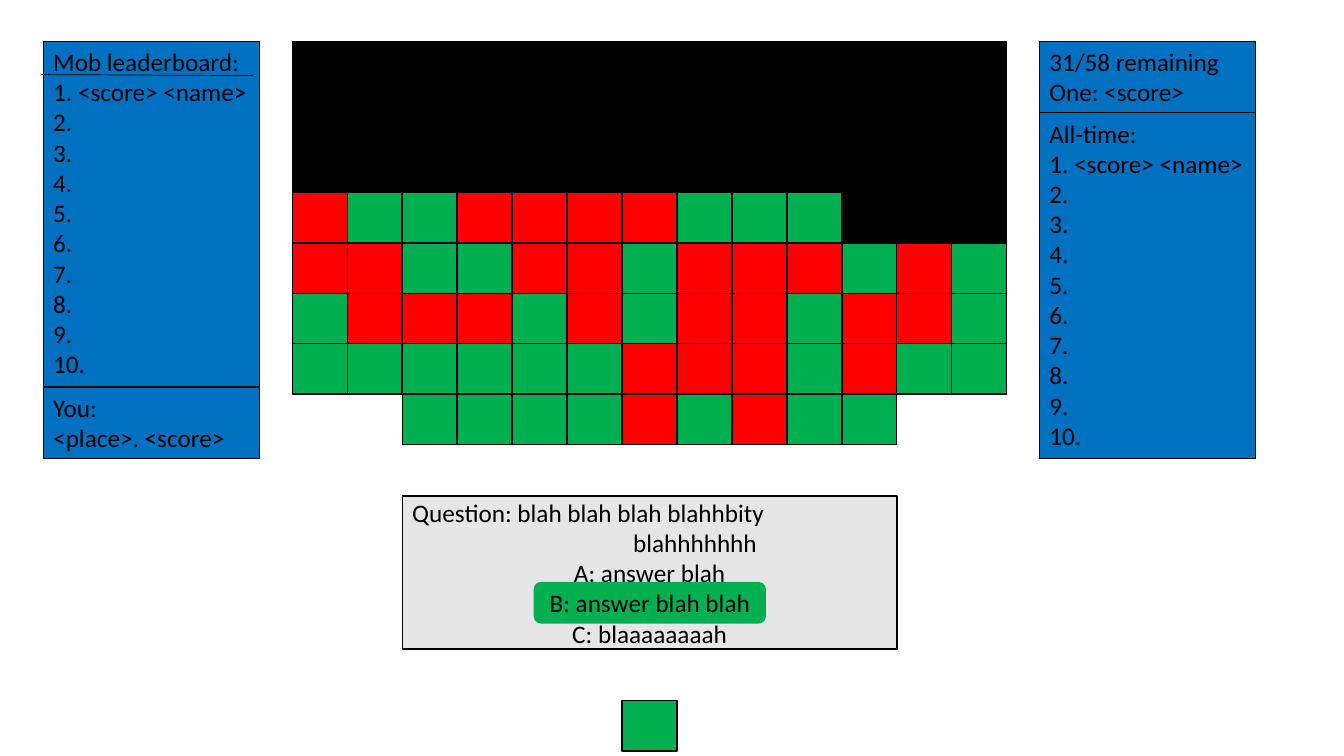
from lxml.etree import SubElement
from pptx import Presentation
from pptx.dml.color import RGBColor
from pptx.enum.shapes import MSO_CONNECTOR, MSO_SHAPE
from pptx.enum.text import MSO_ANCHOR, MSO_AUTO_SIZE, PP_ALIGN
from pptx.oxml.ns import qn
from pptx.util import Inches, Pt

COLORS = {
    "black": "000000",
    "red": "FF0000",
    "green": "00B050",
    "blue": "0070C0",
    "gray": "E7E6E6",
}


def rgb(name):
    return RGBColor.from_string(COLORS[name])


def add_text(frame, text, first=False, align=PP_ALIGN.LEFT, indent=0,
             font="Calibri", size=18, color="black"):
    """Add one formatted paragraph to a text frame."""
    paragraph = frame.paragraphs[0] if first else frame.add_paragraph()
    paragraph.alignment = align
    if indent:
        paragraph._p.get_or_add_pPr().set("marL", str(Inches(indent)))
    run = paragraph.add_run()
    run.text = text
    run.font.name = font
    run.font.size = Pt(size)
    run.font.color.rgb = rgb(color)


class GameSlide:
    def __init__(self, slide, line_color="black"):
        self.slide = slide
        self.line_color = line_color

    def box(self, left, top, width, height, fill, line=None, weight=1,
            kind=MSO_SHAPE.RECTANGLE):
        shape = self.slide.shapes.add_shape(
            kind, Inches(left), Inches(top), Inches(width), Inches(height))
        shape.shadow.inherit = False
        shape.fill.solid()
        shape.fill.fore_color.rgb = rgb(fill)
        shape.line.color.rgb = rgb(line or self.line_color)
        shape.line.width = Pt(weight)
        return shape

    def panel(self, left, top, height, lines, wrap=True):
        frame = self.box(left, top, PANEL_WIDTH, height, "blue", weight=0.75).text_frame
        frame.word_wrap = wrap
        frame.auto_size = MSO_AUTO_SIZE.SHAPE_TO_FIT_TEXT
        frame.vertical_anchor = MSO_ANCHOR.TOP
        for number, text in enumerate(lines):
            add_text(frame, text, first=number == 0)

    def rule(self, x1, y1, x2, y2, weight):
        line = self.slide.shapes.add_connector(
            MSO_CONNECTOR.STRAIGHT, Inches(x1), Inches(y1), Inches(x2), Inches(y2))
        line.line.color.rgb = rgb(self.line_color)
        line.line.width = Pt(weight)
        SubElement(line._element.spPr, qn("a:effectLst"))


prs = Presentation()
prs.slide_width = Inches(13.33)
prs.slide_height = Inches(7.5)
game = GameSlide(prs.slides.add_slide(prs.slide_layouts[6]))

# Mob board: K = black, R = red, G = green, dot = no seat
SEATS = [
    "KKKKKKKKKKKKK",
    "KKKKKKKKKKKKK",
    "KKKKKKKKKKKKK",
    "RGGRRRRGGGKKK",
    "RRGGRRGRRRGRG",
    "GRRRGRGRRGRRG",
    "GGGGGGRRRGRGG",
    "..GGGGRGRGG..",
]
SEAT_FILLS = {"K": "black", "R": "red", "G": "green"}
BOARD_LEFT, TOP = 2.9, 0.41
SEAT_WIDTH, SEAT_HEIGHT = 0.545, 0.5

for row, seats in enumerate(SEATS):
    for column, seat in enumerate(seats):
        if seat in SEAT_FILLS:
            game.box(BOARD_LEFT + column * SEAT_WIDTH, TOP + row * SEAT_HEIGHT,
                     SEAT_WIDTH, SEAT_HEIGHT, SEAT_FILLS[seat])

# The one, below the middle column
game.box(BOARD_LEFT + 6 * SEAT_WIDTH, 6.95, SEAT_WIDTH, SEAT_HEIGHT, "green")

# Question with its answers
question = game.box(BOARD_LEFT + 2 * SEAT_WIDTH, 4.92, 9 * SEAT_WIDTH, 1.52,
                    "gray").text_frame
question.word_wrap = True
question.vertical_anchor = MSO_ANCHOR.MIDDLE
add_text(question, "Question: blah blah blah blahhbity", first=True)
add_text(question, "blahhhhhhh", indent=2.19)
CHOSEN = "B: answer blah blah"
for answer in ("A: answer blah", CHOSEN, "C: blaaaaaaaah"):
    add_text(question, answer, align=PP_ALIGN.CENTER)

# Chosen answer highlight
highlight = game.box(5.3, 5.78, 2.29, 0.4, "green", line="green",
                     kind=MSO_SHAPE.ROUNDED_RECTANGLE).text_frame
highlight.word_wrap = True
highlight.vertical_anchor = MSO_ANCHOR.MIDDLE
add_text(highlight, CHOSEN, first=True, align=PP_ALIGN.CENTER)

# Side panels
PANEL_WIDTH, LIST_HEIGHT, NOTE_HEIGHT = 2.14, 3.43, 0.71
MOB_LEFT, STATUS_LEFT = 0.43, 10.31
RANKING = ["1. <score> <name>"] + [f"{place}." for place in range(2, 11)]

game.panel(MOB_LEFT, TOP, LIST_HEIGHT, ["Mob leaderboard:"] + RANKING, wrap=False)
game.rule(0.41, 0.74, 2.51, 0.75, weight=0.5)
game.panel(MOB_LEFT, TOP + LIST_HEIGHT, NOTE_HEIGHT, ["You: ", "<place>. <score>"])
game.panel(STATUS_LEFT, TOP, NOTE_HEIGHT, ["31/58 remaining", "One: <score>"])
game.panel(STATUS_LEFT, TOP + NOTE_HEIGHT, LIST_HEIGHT, ["All-time:"] + RANKING)

prs.save("out.pptx")
